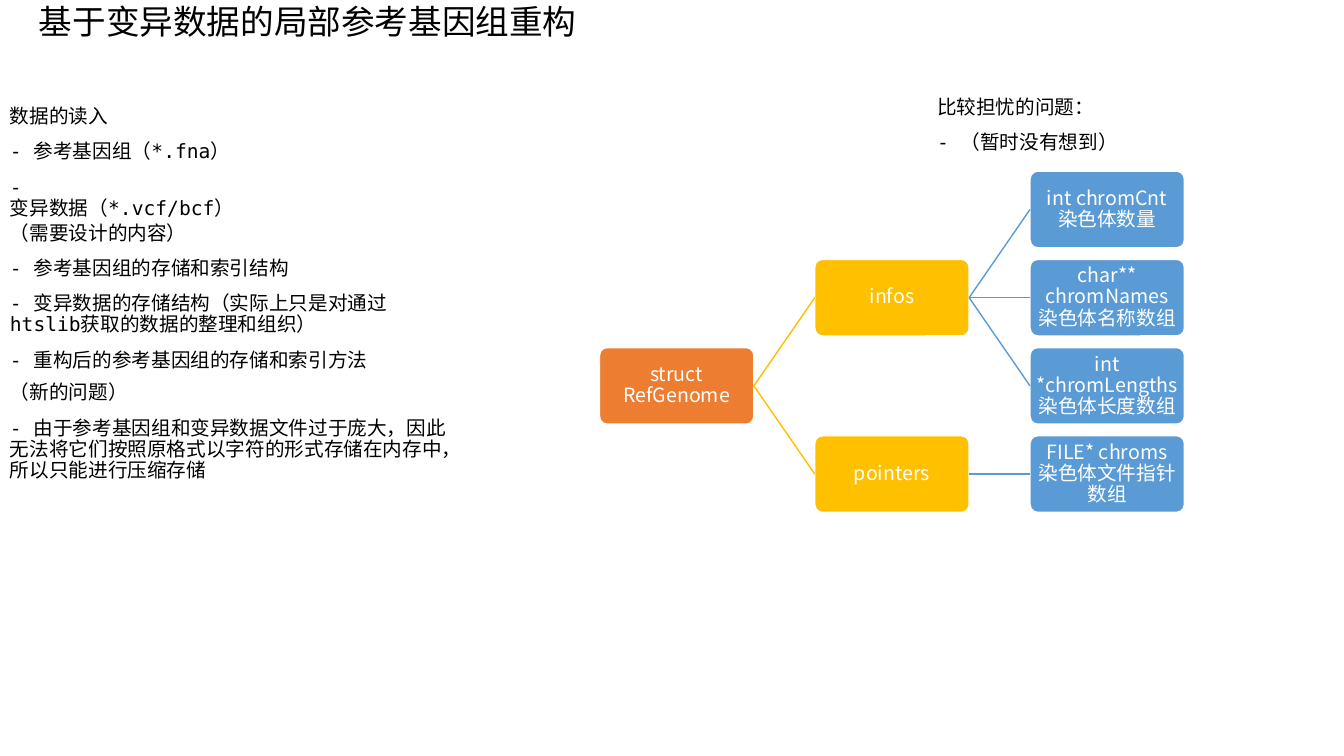
from dataclasses import dataclass

from lxml.etree import SubElement
from pptx import Presentation
from pptx.dml.color import RGBColor as Rgb
from pptx.enum.shapes import MSO_CONNECTOR as Link, MSO_SHAPE as Kind
from pptx.enum.text import MSO_ANCHOR as Anchor, MSO_AUTO_SIZE as Fit, PP_ALIGN as Align
from pptx.oxml.ns import qn
from pptx.util import Pt

PX = 9525  # 96 px to the inch
COLORS = {"text": "000000", "white": "FFFFFF", "root": "ED7D31",
          "group": "FFC000", "field": "5B9BD5"}
MONO, SANS = "DejaVu Sans Mono", "Noto Sans CJK SC"
LEFT, TOP, STEP_X, STEP_Y = 571, 163, 205, 84
WIDE, HIGH = 147, 73


@dataclass
class Note:
    box: tuple[int, int, int, int]
    lines: list[str]


@dataclass
class Node:
    text: str
    col: int
    row: int
    color: str
    parent: str = ""


NOTES = [
    Note((0, 97, 252, 117), ["数据的读入", "- 参考基因组（*.fna）", "- 变异数据（*.vcf/bcf）"]),
    Note((883, 88, 280, 64), ["比较担忧的问题：", "- （暂时没有想到）"]),
    Note((0, 208, 442, 152), [
        "（需要设计的内容）",
        "- 参考基因组的存储和索引结构",
        "- 变异数据的存储结构（实际上只是对通过htslib获取的数据的整理和组织）",
        "- 重构后的参考基因组的存储和索引方法"]),
    Note((0, 360, 442, 105), [
        "（新的问题）",
        "- 由于参考基因组和变异数据文件过于庞大，因此无法将它们按照原格式以字符的形式存储在内存中，所以只能进行压缩存储"]),
]

NODES = [
    Node("struct RefGenome", 0, 2, "root"),
    Node("infos", 1, 1, "group", "struct RefGenome"),
    Node("pointers", 1, 3, "group", "struct RefGenome"),
    Node("int chromCnt\n染色体数量", 2, 0, "field", "infos"),
    Node("char** chromNames\n染色体名称数组", 2, 1, "field", "infos"),
    Node("int *chromLengths\n染色体长度数组", 2, 2, "field", "infos"),
    Node("FILE* chroms\n染色体文件指针数组", 2, 3, "field", "pointers"),
]


def rgb(name: str) -> Rgb:
    return Rgb.from_string(COLORS[name])


def apply(item, **values) -> None:
    for key, value in values.items():
        setattr(item, key, value)


def place(shape, box: tuple[int, int, int, int]) -> None:
    apply(shape, **dict(zip(("left", "top", "width", "height"), (n * PX for n in box))))


def write(frame, lines: list[str], face: str, size: int, color: str, align, space: float) -> None:
    for i, line in enumerate(lines):
        para = frame.paragraphs[0] if i == 0 else frame.add_paragraph()
        para.text = line
        apply(para, alignment=align, line_spacing=space, space_before=Pt(10 if i else 0))
        for run in para.runs:
            apply(run.font, name=face, size=Pt(size))
            run.font.color.rgb = rgb(color)


def add_note(slide, note: Note) -> None:
    box = slide.shapes.add_textbox(0, 0, PX, PX)
    apply(box.text_frame, word_wrap=True, auto_size=Fit.SHAPE_TO_FIT_TEXT)
    write(box.text_frame, note.lines, MONO, 14, "text", Align.LEFT, 0.9)
    place(box, note.box)


def add_node(slide, node: Node):
    shape = slide.shapes.add_shape(Kind.ROUNDED_RECTANGLE, 0, 0, PX, PX)
    place(shape, (LEFT + node.col * STEP_X, TOP + node.row * STEP_Y, WIDE, HIGH))
    shape.adjustments[0] = 0.1
    shape.shadow.inherit = False
    shape.fill.solid()
    shape.fill.fore_color.rgb = rgb(node.color)
    shape.line.color.rgb = rgb("white")
    shape.line.width = Pt(1)
    inset = {f"margin_{side}": 3 * PX for side in ("left", "right", "top", "bottom")}
    apply(shape.text_frame, word_wrap=True, vertical_anchor=Anchor.MIDDLE, **inset)
    write(shape.text_frame, [node.text], SANS, 14, "white", Align.CENTER, 0.9)
    return shape


def add_link(slide, start, end, color: str) -> None:
    link = slide.shapes.add_connector(Link.STRAIGHT, 0, 0, 0, 0)
    link.begin_connect(start, 3)
    link.end_connect(end, 1)
    link.line.color.rgb = rgb(color)
    link.line.width = Pt(1)
    SubElement(link._element.spPr, qn("a:effectLst"))


def main() -> None:
    deck = Presentation()
    apply(deck, slide_width=1280 * PX, slide_height=720 * PX)
    slide = deck.slides.add_slide(deck.slide_layouts[5])

    # Title
    title = slide.shapes.title
    place(title, (0, 0, 586, 44))
    apply(title.text_frame, word_wrap=True, vertical_anchor=Anchor.TOP,
          auto_size=Fit.SHAPE_TO_FIT_TEXT)
    write(title.text_frame, ["基于变异数据的局部参考基因组重构"], MONO, 24, "text",
          Align.CENTER, 0.9)

    # Notes
    for note in NOTES:
        add_note(slide, note)

    # Structure tree
    drawn = {}
    for node in NODES:
        drawn[node.text] = add_node(slide, node)
        if node.parent:
            add_link(slide, drawn[node.parent], drawn[node.text], node.color)

    deck.save("out.pptx")


if __name__ == "__main__":
    main()
